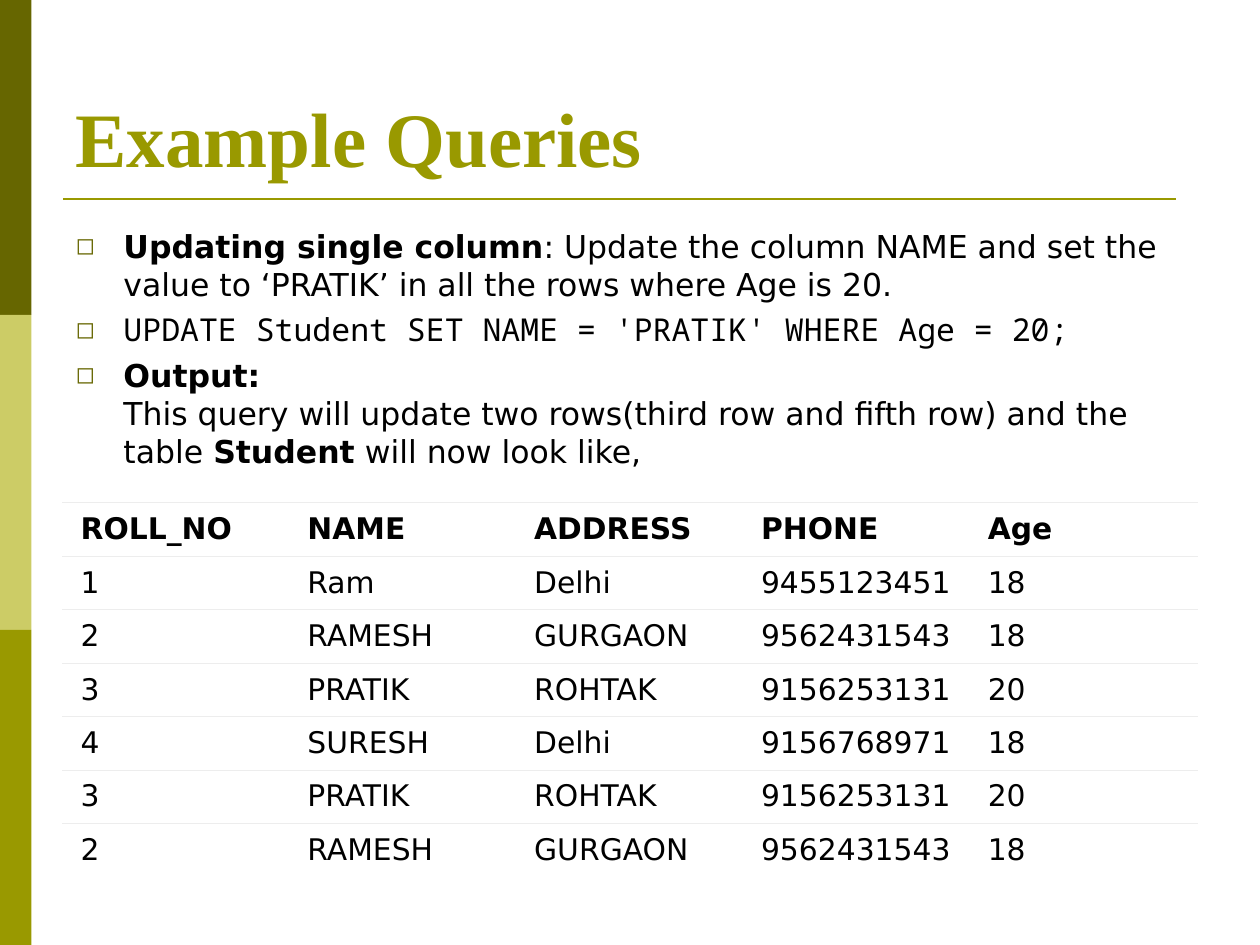
from copy import deepcopy
from dataclasses import dataclass

from lxml import etree
from pptx import Presentation
from pptx import util as u
from pptx.dml.color import RGBColor
from pptx.enum import shapes, text
from pptx.oxml import ns
from pptx.slide import Slide

DARK_OLIVE = RGBColor(0x66, 0x66, 0x00)
PALE_OLIVE = RGBColor(0xCC, 0xCC, 0x66)
OLIVE = RGBColor(0x99, 0x99, 0x00)
BLACK = RGBColor(0x00, 0x00, 0x00)
WHITE = RGBColor(0xFF, 0xFF, 0xFF)
GRID = RGBColor(0xED, 0xED, 0xED)

SANS = "DejaVu Sans"
MONO = "Noto Sans Mono"
SERIF = "Times New Roman"
LINE_BREAK = None

QUERY_NOTES = [
    [
        ("Updating single column", {"bold": True}),
        (": Update the column NAME and set the value to ‘PRATIK’ in all the rows where Age is 20.", {}),
    ],
    [("UPDATE Student SET NAME = 'PRATIK' WHERE Age = 20;", {"name": MONO})],
    [
        ("Output:", {"bold": True}),
        (LINE_BREAK, {}),
        ("This query will update two rows(third row and fifth row) and the table ", {}),
        ("Student", {"bold": True}),
        (" will now look like,", {}),
    ],
]

STUDENTS = [
    ("ROLL_NO", "NAME", "ADDRESS", "PHONE", "Age"),
    ("1", "Ram", "Delhi", "9455123451", "18"),
    ("2", "RAMESH", "GURGAON", "9562431543", "18"),
    ("3", "PRATIK", "ROHTAK", "9156253131", "20"),
    ("4", "SURESH", "Delhi", "9156768971", "18"),
    ("3", "PRATIK", "ROHTAK", "9156253131", "20"),
    ("2", "RAMESH", "GURGAON", "9562431543", "18"),
]


def set_values(target, values):
    for name, value in values.items():
        setattr(target, name, value)


def add_element(parent, tag, **attributes):
    return etree.SubElement(parent, ns.qn(tag), attributes)


@dataclass
class SlideBuilder:
    slide: Slide
    font_name: str = SANS
    font_color: RGBColor = BLACK

    def format_run(self, run, size, **values):
        font_values = {"name": self.font_name, "size": u.Pt(size), "bold": False}
        set_values(run.font, {**font_values, **values})
        run.font.color.rgb = self.font_color

    def place(self, shape, left, top, width, height):
        box = {"left": left, "top": top, "width": width, "height": height}
        set_values(shape, {name: u.Inches(value) for name, value in box.items()})

    def band(self, left, top, width, height, color):
        lengths = [u.Inches(value) for value in (left, top, width, height)]
        shape = self.slide.shapes.add_shape(shapes.MSO_SHAPE.RECTANGLE, *lengths)
        shape.shadow.inherit = False
        shape.fill.solid()
        shape.fill.fore_color.rgb = color
        shape.line.fill.background()

    def rule(self, left, right, top, color, weight):
        ends = [u.Inches(value) for value in (left, top, right, top)]
        line = self.slide.shapes.add_connector(shapes.MSO_CONNECTOR.STRAIGHT, *ends)
        line.line.color.rgb = color
        line.line.width = u.Pt(weight)
        add_element(line._element.spPr, "a:effectLst")

    def title(self, words, *box):
        shape = self.slide.shapes.title
        self.place(shape, *box)
        frame = shape.text_frame
        set_values(frame, {
            "vertical_anchor": text.MSO_ANCHOR.BOTTOM,
            "auto_size": text.MSO_AUTO_SIZE.NONE,
            "word_wrap": True,
        })
        paragraph = frame.paragraphs[0]
        paragraph.alignment = text.PP_ALIGN.LEFT
        run = paragraph.add_run()
        run.text = words
        self.format_run(run, 44, name=SERIF, bold=True)
        run.font.color.rgb = OLIVE

    def bullet(self, paragraph, indent):
        properties = paragraph._p.get_or_add_pPr()
        properties.set("marL", str(u.Inches(indent)))
        properties.set("indent", str(-u.Inches(indent)))
        color = add_element(properties, "a:buClr")
        add_element(color, "a:srgbClr", val=str(DARK_OLIVE))
        add_element(properties, "a:buSzPct", val="75000")
        add_element(properties, "a:buFont", typeface=SANS)
        add_element(properties, "a:buChar", char="◻")

    def bullets(self, items, *box):
        shape = self.slide.placeholders[1]
        self.place(shape, *box)
        frame = shape.text_frame
        set_values(frame, {"auto_size": text.MSO_AUTO_SIZE.NONE, "word_wrap": True})
        for index, item in enumerate(items):
            paragraph = frame.add_paragraph() if index else frame.paragraphs[0]
            self.bullet(paragraph, 0.38)
            paragraph.space_before = u.Pt(4.5 if index else 0)
            for words, values in item:
                if words is LINE_BREAK:
                    paragraph.add_line_break()
                    paragraph._p[-1].append(deepcopy(run._r.rPr))
                    continue
                run = paragraph.add_run()
                run.text = words
                self.format_run(run, 18, **values)

    def border(self, cell, side):
        line = add_element(cell._tc.get_or_add_tcPr(), side, w=str(u.Pt(0.34)))
        fill = add_element(line, "a:solidFill")
        add_element(fill, "a:srgbClr", val=str(GRID))

    def table(self, rows, left, top, width, height):
        lengths = [u.Inches(value) for value in (left, top, width, height)]
        frame = self.slide.shapes.add_table(len(rows), len(rows[0]), *lengths)
        table = frame.table
        set_values(table, {"first_row": False, "horz_banding": False})
        for row_index, row in enumerate(rows):
            for column_index, words in enumerate(row):
                cell = table.cell(row_index, column_index)
                set_values(cell, {
                    "vertical_anchor": text.MSO_ANCHOR.MIDDLE,
                    "margin_left": u.Inches(0.14),
                    "margin_right": u.Inches(0.14),
                    "margin_top": u.Inches(0.05),
                    "margin_bottom": u.Inches(0.05),
                })
                self.border(cell, "a:lnT")
                if row_index < len(rows) - 1:
                    self.border(cell, "a:lnB")
                cell.fill.solid()
                cell.fill.fore_color.rgb = WHITE
                run = cell.text_frame.paragraphs[0].add_run()
                run.text = words
                self.format_run(run, 17, bold=row_index == 0)


def main():
    presentation = Presentation()
    presentation.slide_width = u.Inches(10)
    presentation.slide_height = u.Inches(7.5)
    builder = SlideBuilder(presentation.slides.add_slide(presentation.slide_layouts[1]))
    for index, color in enumerate((DARK_OLIVE, PALE_OLIVE, OLIVE)):
        builder.band(0, 2.5 * index, 0.25, 2.5, color)
    builder.rule(0.5, 9.33, 1.58, OLIVE, 1.5)
    builder.title("Example Queries", 0.5, 0.25, 9, 1.25)
    builder.bullets(QUERY_NOTES, 0.5, 1.75, 9, 4.95)
    builder.table(STUDENTS, 0.5, 3.99, 9, 2.97)
    presentation.save("out.pptx")


if __name__ == "__main__":
    main()
